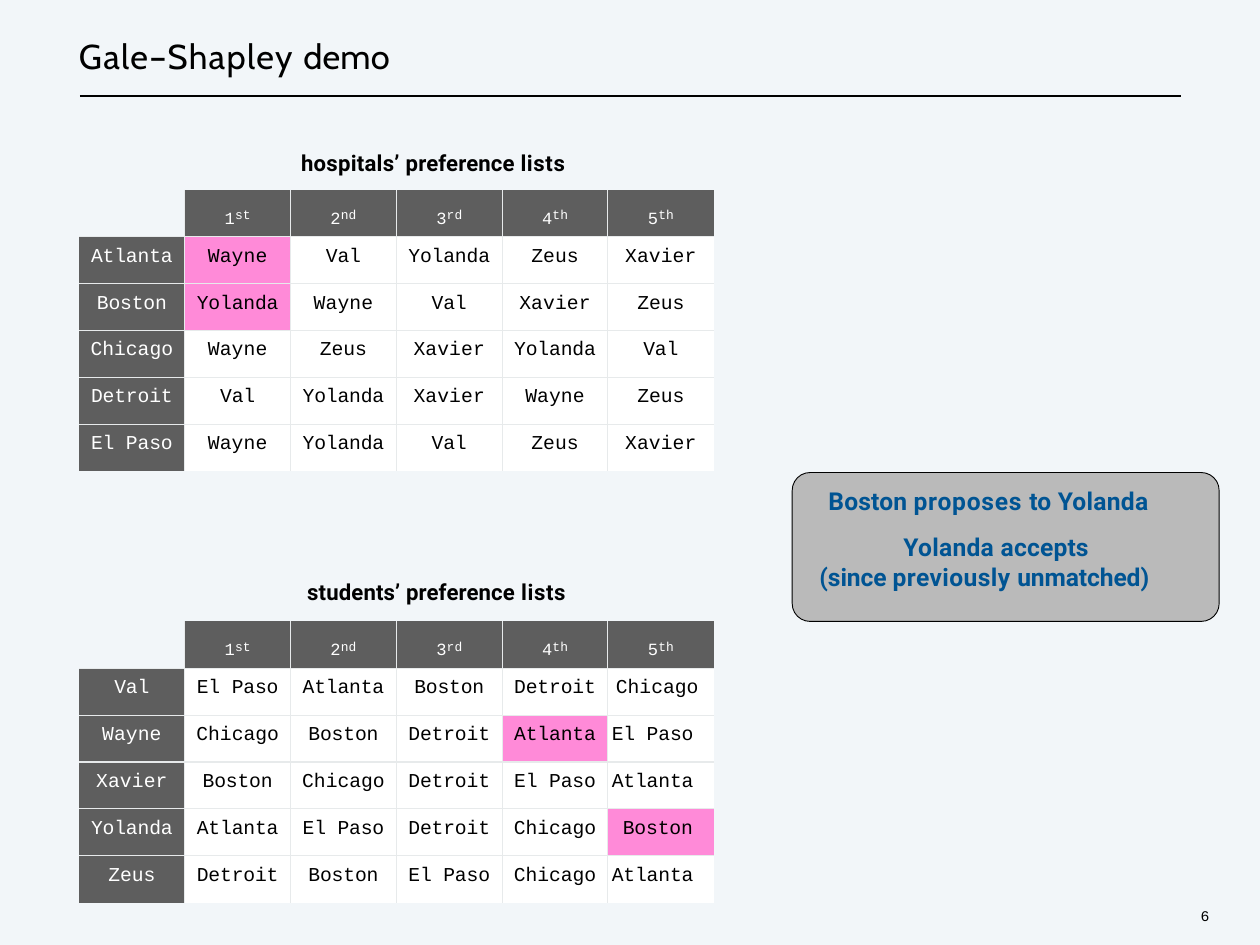
from lxml.etree import SubElement
from pptx import Presentation
from pptx.dml.color import RGBColor
from pptx.enum.shapes import MSO_CONNECTOR, MSO_SHAPE
from pptx.enum.text import PP_ALIGN
from pptx.oxml import parse_xml
from pptx.oxml.ns import nsdecls, qn
from pptx.util import Pt

COLORS = {
    "background": "F2F6F9", "header": "5E5E5E", "cell": "FFFFFF",
    "highlight": "FF8AD8", "border": "E7EAEB", "callout": "BABABA",
    "blue": "005493", "black": "000000", "white": "FFFFFF",
}


def color(name):
    return RGBColor.from_string(COLORS[name])


def add_run(paragraph, text, size, font, color_name, bold=False, spacing=0.0, baseline=0):
    run = paragraph.add_run()
    run.text = text
    run.font.size = Pt(size)
    run.font.name = font
    run.font.bold = bold
    run.font.color.rgb = color(color_name)
    properties = run.font._element
    properties.set("spc", str(round(spacing * 100)))
    if baseline:
        properties.set("baseline", str(baseline * 1000))


presentation = Presentation()
presentation.slide_width = Pt(1024)
presentation.slide_height = Pt(768)
slide = presentation.slides.add_slide(presentation.slide_layouts[6])
slide.background.fill.solid()
slide.background.fill.fore_color.rgb = color("background")

# Rule under the title
rule = slide.shapes.add_connector(MSO_CONNECTOR.STRAIGHT, Pt(65), Pt(78), Pt(960), Pt(78))
rule.line.color.rgb = color("black")
rule.line.width = Pt(1)
SubElement(rule._element.spPr, qn("a:effectLst"))

# Callout panel
panel = slide.shapes.add_shape(
    MSO_SHAPE.ROUNDED_RECTANGLE, Pt(643.8), Pt(384), Pt(347), Pt(121))
panel.adjustments[0] = 0.12
panel.shadow.inherit = False
panel.fill.solid()
panel.fill.fore_color.rgb = color("callout")
panel.line.color.rgb = color("black")
panel.line.width = Pt(0.75)

# Text boxes: left, top, width, height, size, font, color, bold, lines
# Each line: indent, line spacing, space before, runs with letter spacing
text_boxes = [
    (63.4, 27.4, 265, 35.3, 28, "Cabin", "black", False,
     [(0.7, 1, 1, [("Gale–Shapley ", 1.1), ("demo", 0.2)])]),
    (244, 120.2, 242, 23.8, 18, "Roboto", "black", True,
     [(0.7, 1, 1, [("hospitals’ ", 0.2), ("preference ", 0.1), ("lists", 0.5)])]),
    (249, 468.7, 238, 23.8, 18, "Roboto", "black", True,
     [(0.7, 1, 1, [("students’ preference ", 0.1), ("lists", 0.5)])]),
    (665.3, 381, 305, 101, 20, "Roboto", "blue", True,
     [(8, 1.54, 1, [("Boston ", 0.1), ("proposes ", 0.6), ("to ", 0.1), ("Yolanda", 0.2)]),
      (69, 1.54, 0, [("Yolanda ", 0.2), ("accepts", 0.1)]),
      (0.7, 1, 1, [("(since ", -0.1), ("previously ", 0.3), ("unmatched)", -0.1)])]),
    (972.7, 735.8, 21, 16.6, 12, "Courier New", "black", False,
     [(3, 1, 0.2, [("6", 0)])]),
]
for left, top, width, height, size, font, color_name, bold, lines in text_boxes:
    shape = slide.shapes.add_textbox(Pt(left), Pt(top), Pt(width), Pt(height))
    frame = shape.text_frame
    frame.word_wrap = True
    frame.margin_left = frame.margin_right = frame.margin_bottom = 0
    frame.margin_top = Pt(1)
    for index, (indent, line_spacing, space_before, runs) in enumerate(lines):
        paragraph = frame.add_paragraph() if index else frame.paragraphs[0]
        paragraph.line_spacing = line_spacing
        paragraph.space_before = Pt(space_before)
        paragraph._p.get_or_add_pPr().set("marL", str(Pt(indent)))
        for text, spacing in runs:
            add_run(paragraph, text, size, font, color_name, bold, spacing)

# Preference tables
ordinals = [("1", "st"), ("2", "nd"), ("3", "rd"), ("4", "th"), ("5", "th")]
letter_spacing = {"Wayne": 0.1, "Xavier": 0.1, "Zeus": 0, "Chicago": 0}
hospitals = [
    ["Atlanta", "Wayne", "Val", "Yolanda", "Zeus", "Xavier"],
    ["Boston", "Yolanda", "Wayne", "Val", "Xavier", "Zeus"],
    ["Chicago", "Wayne", "Zeus", "Xavier", "Yolanda", "Val"],
    ["Detroit", "Val", "Yolanda", "Xavier", "Wayne", "Zeus"],
    ["El Paso", "Wayne", "Yolanda", "Val", "Zeus", "Xavier"],
]
students = [
    ["Val", "El Paso", "Atlanta", "Boston", "Detroit", "Chicago"],
    ["Wayne", "Chicago", "Boston", "Detroit", "Atlanta", "El Paso"],
    ["Xavier", "Boston", "Chicago", "Detroit", "El Paso", "Atlanta"],
    ["Yolanda", "Atlanta", "El Paso", "Detroit", "Chicago", "Boston"],
    ["Zeus", "Detroit", "Boston", "El Paso", "Chicago", "Atlanta"],
]
# Top, preferences, matched cells, right margins of a right-aligned last column
tables = [
    (154.4, hospitals, {(1, 1), (2, 1)}, None),
    (505, students, {(2, 4), (4, 5)}, [12.5, 16.5, 16.5, 17, 16.5]),
]
column_width, row_height, count = 86, 38.1, 6
for top, preferences, matched, right_margins in tables:
    table = slide.shapes.add_table(
        count, count, Pt(64.2), Pt(top), Pt(column_width * count), Pt(row_height * count)).table
    for line in table.columns:
        line.width = Pt(column_width)
    for line in table.rows:
        line.height = Pt(row_height)
    for row in range(count):
        for column in range(count):
            cell = table.cell(row, column)
            cell.margin_left = cell.margin_right = cell.margin_bottom = 0
            cell.margin_top = Pt(7.2 if row else 4.3)
            paragraph = cell.text_frame.paragraphs[0]
            paragraph.alignment = PP_ALIGN.CENTER
            paragraph.space_before = Pt(7 if row else 4.1)
            if row:
                name = preferences[row - 1][column]
                add_run(paragraph, name, 16, "Courier New", "black" if column else "white",
                        spacing=letter_spacing.get(name, -0.1))
                if right_margins and column == count - 1:
                    paragraph.alignment = PP_ALIGN.RIGHT
                    cell.margin_right = Pt(right_margins[row - 1])
            elif column:
                digit, suffix = ordinals[column - 1]
                add_run(paragraph, digit, 24, "Courier New", "white", spacing=0.1, baseline=-14)
                add_run(paragraph, suffix, 10.5, "Courier New", "white", spacing=0.1)

            if (row, column) in matched:
                fill = "highlight"
            elif row and column:
                fill = "cell"
            else:
                fill = "header" if row or column else "background"
            cell.fill.solid()
            cell.fill.fore_color.rgb = color(fill)

            # Only inner edges carry a border
            edges = [("L", column > 0), ("R", column < count - 1),
                     ("T", row > 0), ("B", row < count - 1)]
            for position, (side, inner) in enumerate(edges):
                paint = (f'<a:solidFill><a:srgbClr val="{COLORS["border"]}"/></a:solidFill>'
                         if inner else "<a:noFill/>")
                border = parse_xml(
                    f'<a:ln{side} {nsdecls("a")} w="{Pt(1)}">{paint}</a:ln{side}>')
                cell._tc.get_or_add_tcPr().insert(position, border)

presentation.save("out.pptx")
